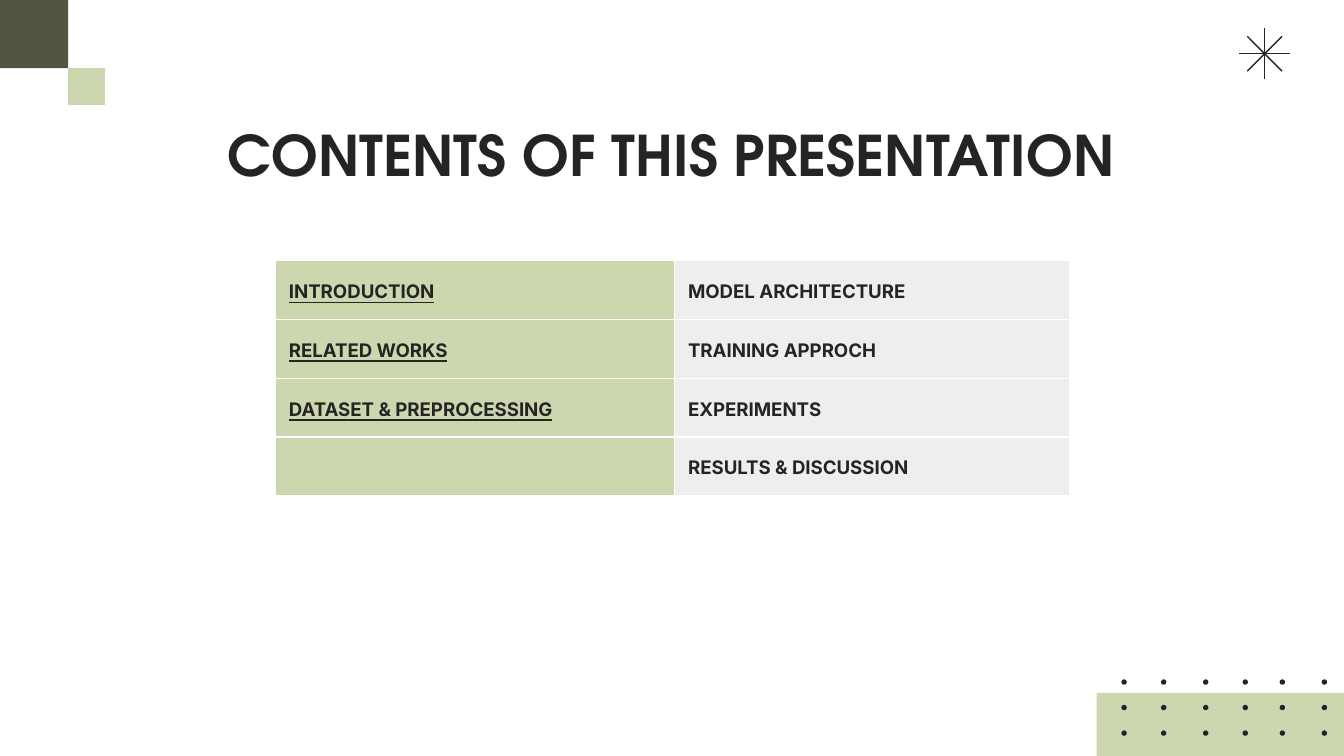
from lxml import etree
from pptx import Presentation
from pptx.dml.color import RGBColor
from pptx.enum.shapes import MSO_CONNECTOR, MSO_SHAPE
from pptx.enum.text import MSO_ANCHOR, MSO_AUTO_SIZE, PP_ALIGN
from pptx.oxml import parse_xml
from pptx.oxml.ns import nsdecls, qn
from pptx.util import Inches, Pt

RECTANGLE, OVAL = MSO_SHAPE.RECTANGLE, MSO_SHAPE.OVAL
STRAIGHT = MSO_CONNECTOR.STRAIGHT
MIDDLE, TOP = MSO_ANCHOR.MIDDLE, MSO_ANCHOR.TOP
CENTER, NO_FIT = PP_ALIGN.CENTER, MSO_AUTO_SIZE.NONE

COLORS = {"ink": "242424", "olive": "515544", "sage": "CCD6AF",
          "gray": "EEEEEE", "white": "FFFFFF"}
TITLE_FONT, BODY_FONT = "TeX Gyre Adventor", "Inter"
WIDTH = 10
HEIGHT = WIDTH * 9 / 16
PADDING = 0.1
DOT = 0.04
TOPICS = [("INTRODUCTION", "MODEL ARCHITECTURE"),
          ("RELATED WORKS", "TRAINING APPROCH"),
          ("DATASET & PREPROCESSING", "EXPERIMENTS"),
          ("", "RESULTS & DISCUSSION")]


def color(name):
    return RGBColor.from_string(COLORS[name])


def inches(box):
    return [Inches(length) for length in box]


def add_block(page, kind, box, fill):
    shape = page.shapes.add_shape(kind, *inches(box))
    shape.shadow.inherit = False
    shape.fill.solid()
    shape.fill.fore_color.rgb = color(fill)
    shape.line.fill.background()


def add_span(para, text, font, size, underline=False):
    span = para.add_run()
    span.text = text
    span.font.name, span.font.size = font, Pt(size)
    span.font.bold, span.font.underline = True, underline
    span.font.color.rgb = color("ink")


def set_padding(target):
    target.margin_left = target.margin_right = Inches(PADDING)
    target.margin_top = target.margin_bottom = Inches(PADDING)


def add_star(page, box):
    """Four lines crossing in the middle of the box."""
    left, top, width, height = box
    near, far = 0.16, 0.84
    spokes = [(near, near, far, far), (far, near, near, far),
              (0.5, 0, 0.5, 1), (1, 0.5, 0, 0.5)]
    for x1, y1, x2, y2 in spokes:
        ends = (left + x1 * width, top + y1 * height,
                left + x2 * width, top + y2 * height)
        spoke = page.shapes.add_connector(STRAIGHT, *inches(ends))
        spoke.line.color.rgb = color("ink")
        spoke.line.width = Pt(0.75)
        etree.SubElement(spoke._element.spPr, qn("a:effectLst"))


def add_corner_squares(page, box):
    """A large square with a small one touching its lower right corner."""
    left, top, size, _ = box
    large = size * 0.65
    small = size - large
    add_block(page, RECTANGLE, (left, top, large, large), "olive")
    add_block(page, RECTANGLE, (left + large, top + large, small, small), "sage")


def add_dotted_band(page, box):
    """A band with a grid of dots that starts above it."""
    left, top, width, _ = box
    add_block(page, RECTANGLE, box, "sage")
    for share in (0.1, 0.26, 0.43, 0.59, 0.74, 0.91):
        for row in range(3):
            dot = (left + share * width, top - 0.1 + row * 0.19, DOT, DOT)
            add_block(page, OVAL, dot, "ink")


def add_title(page, box, text):
    title = page.shapes.title
    title.left, title.top, title.width, title.height = inches(box)
    frame = title.text_frame
    frame.word_wrap, frame.auto_size = True, NO_FIT
    frame.vertical_anchor = TOP
    set_padding(frame)
    para = frame.paragraphs[0]
    para.alignment = CENTER
    add_span(para, text, TITLE_FONT, 30)


def add_cell_borders(cell):
    properties = cell._tc.get_or_add_tcPr()
    for position, side in enumerate(("lnL", "lnR", "lnT", "lnB")):
        properties.insert(position, parse_xml(
            f'<a:{side} {nsdecls("a")} w="{Pt(0.75)}"><a:solidFill>'
            f'<a:srgbClr val="{COLORS["white"]}"/></a:solidFill></a:{side}>'))


def fill_cell(cell, text, fill, underline):
    cell.fill.solid()
    cell.fill.fore_color.rgb = color(fill)
    add_cell_borders(cell)
    if not text:
        return
    cell.vertical_anchor = MIDDLE
    set_padding(cell)
    para = cell.text_frame.paragraphs[0]
    para.line_spacing = 1.15
    if not underline:
        para.space_after = Pt(16)
    add_span(para, text, BODY_FONT, 10, underline)


def add_topics(page, box):
    """Covered topics on the left are underlined, the rest are plain."""
    width, height = box[2:]
    table = page.shapes.add_table(len(TOPICS), 2, *inches(box)).table
    table.first_row = table.horz_banding = False
    for column, share in zip(table.columns, (0.5025, 0.4975)):
        column.width = Inches(round(width * share, 2))
    for row, labels in enumerate(TOPICS):
        table.rows[row].height = Inches(height / len(TOPICS))
        fill_cell(table.cell(row, 0), labels[0], "sage", True)
        fill_cell(table.cell(row, 1), labels[1], "gray", False)


def main():
    deck = Presentation()
    deck.slide_width, deck.slide_height = inches((WIDTH, HEIGHT))
    page = deck.slides.add_slide(deck.slide_layouts.get_by_name("Title Only"))
    page.background.fill.solid()
    page.background.fill.fore_color.rgb = color("white")

    # Decorations in the corners
    add_star(page, (9.22, 0.21, 0.38, 0.38))
    add_corner_squares(page, (0, 0, 0.78, 0.78))
    add_dotted_band(page, (WIDTH - 1.84, HEIGHT - 0.47, 1.84, 0.47))

    # Heading and list of contents
    add_title(page, (0.78, 0.8, 8.43, 0.63), "CONTENTS OF THIS PRESENTATION")
    add_topics(page, (2.05, 1.94, 5.91, 1.75))
    deck.save("out.pptx")


if __name__ == "__main__":
    main()
